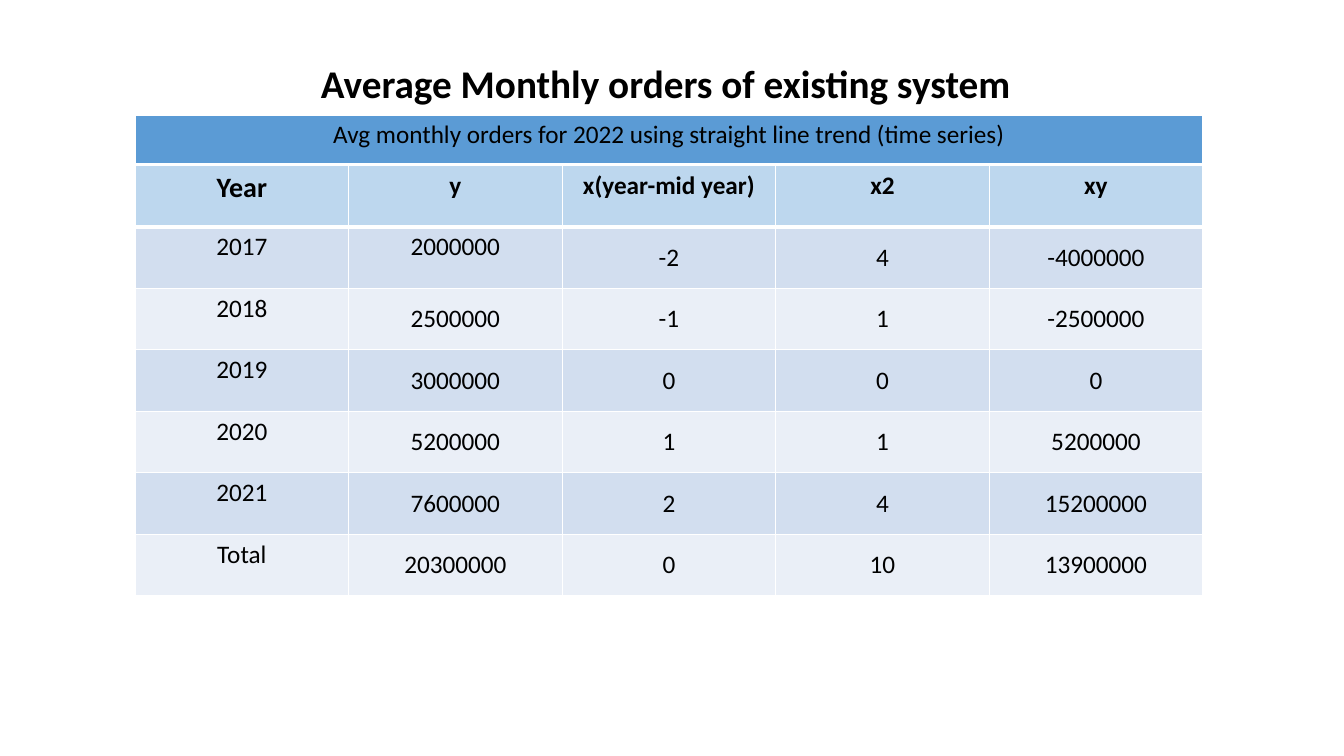
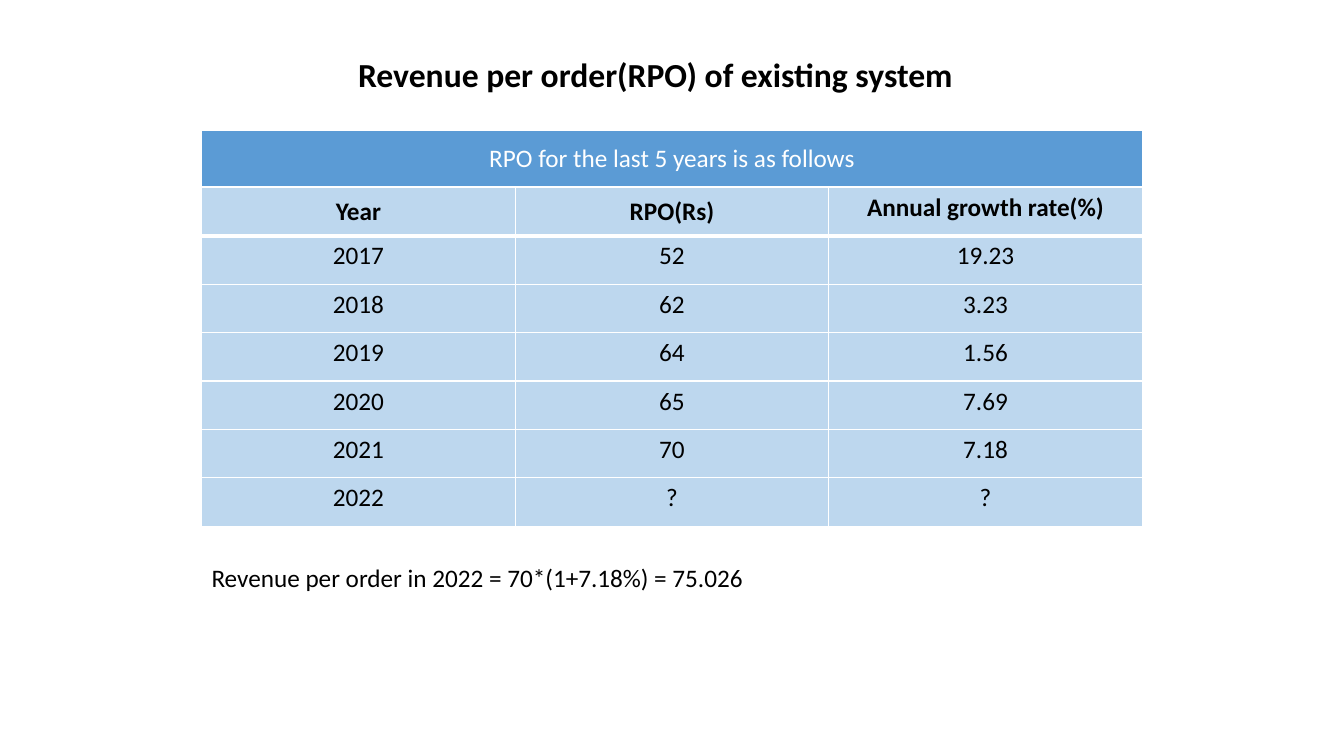
"""Build two table slides on monthly orders and revenue per order."""
import pptx
import pptx.dml.color
import pptx.enum.text
import pptx.oxml
import pptx.oxml.ns
import pptx.util

FONT = "Calibri"
BLACK, WHITE = "000000", "FFFFFF"
BAND, HEADER = "5B9BD5", "BDD7EE"
TOP = pptx.enum.text.MSO_ANCHOR.TOP
MIDDLE = pptx.enum.text.MSO_ANCHOR.MIDDLE
CENTER = pptx.enum.text.PP_ALIGN.CENTER
LEFT = pptx.enum.text.PP_ALIGN.LEFT
inches = pptx.util.Inches


def write(frame, text, size, color=BLACK, bold=False, align=CENTER):
    frame.text = text
    for para in frame.paragraphs:
        para.alignment = align
        for span in para.runs:
            span.font.name = FONT
            span.font.size = pptx.util.Pt(size)
            span.font.bold = bold
            span.font.color.rgb = pptx.dml.color.RGBColor.from_string(color)


def add_grid(slide, left, top, width, row_height, rows, fills, middle, color=BLACK, header=True):
    frame = slide.shapes.add_table(len(rows), len(rows[0]), inches(left), inches(top),
                                   inches(width), inches(row_height * len(rows)))
    table = frame.table
    table.first_row = table.horz_banding = False
    for row, texts in enumerate(rows):
        for column, text in enumerate(texts):
            cell = table.cell(row, column)
            write(cell.text_frame, text, 18, color, bold=header and row == 0)
            cell.vertical_anchor = MIDDLE if (row, column) in middle else TOP
            widths = {"L": 1, "R": 1, "T": 3 if row == 1 else 1, "B": 3 if row == 0 else 1}
            for side, points in widths.items():
                cell._tc.get_or_add_tcPr().append(pptx.oxml.parse_xml(
                    f'<a:ln{side} {pptx.oxml.ns.nsdecls("a")} w="{pptx.util.Pt(points)}">'
                    f'<a:solidFill><a:srgbClr val="{WHITE}"/></a:solidFill></a:ln{side}>'))
            cell.fill.solid()
            cell.fill.fore_color.rgb = pptx.dml.color.RGBColor.from_string(fills[row])
    return table


deck = pptx.Presentation()
deck.slide_width, deck.slide_height = inches(13.33), inches(7.5)

titles = [
    ("Average Monthly orders of existing system", 28, (0.99, 0.54, 11.22, 0.6)),
    ("Revenue per order(RPO) of existing system", 24, (1.22, 0.48, 10.56, 0.64)),
]
pages = []
for text, size, place in titles:
    page = deck.slides.add_slide(deck.slide_layouts[5])
    title = page.shapes.title
    title.left, title.top, title.width, title.height = map(inches, place)
    write(title.text_frame, text, size, bold=True)
    title.text_frame.vertical_anchor = TOP
    pages.append(page)
orders_page, revenue_page = pages

orders = [
    ["Year", "y", "x(year-mid year)", "x2", "xy"],
    ["2017", "2000000", "-2", "4", "-4000000"],
    ["2018", "2500000", "-1", "1", "-2500000"],
    ["2019", "3000000", "0", "0", "0"],
    ["2020", "5200000", "1", "1", "5200000"],
    ["2021", "7600000", "2", "4", "15200000"],
    ["Total", "20300000", "0", "10", "13900000"],
]
left, top, width, band_height = 1.34, 1.14, 10.59, 0.5
add_grid(orders_page, left, top, width, band_height,
         [["Avg monthly orders for 2022 using straight line trend (time series)"]],
         [BAND], set(), header=False)
middle_cells = {(row, column) for row in range(1, 7) for column in range(1, 5)} - {(1, 1)}
orders_table = add_grid(orders_page, left, top + band_height, width, 0.61, orders,
                        [HEADER] + ["D2DEEF", "EAEFF7"] * 3, middle_cells)
write(orders_table.cell(0, 0).text_frame, "Year", 20, bold=True)

revenue = [
    ["Year", "RPO(Rs)", "Annual growth rate(%)"],
    ["2017", "52", "19.23"],
    ["2018", "62", "3.23"],
    ["2019", "64", "1.56"],
    ["2020", "65", "7.69"],
    ["2021", "70", "7.18"],
    ["2022", "?", "?"],
]
left, top, width, band_height = 2, 1.29, 9.33, 0.57
add_grid(revenue_page, left, top, width, band_height,
         [["RPO for the last 5 years is as follows"]], [BAND], {(0, 0)}, WHITE, header=False)
add_grid(revenue_page, left, top + band_height, width, 0.48, revenue,
         [HEADER] * len(revenue), {(0, 0), (0, 1)})

box = revenue_page.shapes.add_textbox(*map(inches, (left, 5.53, width, 1.27)))
box.text_frame.word_wrap = True
write(box.text_frame, "Revenue per order in 2022 = 70*(1+7.18%) = 75.026", 18, align=LEFT)

deck.save("out.pptx")
